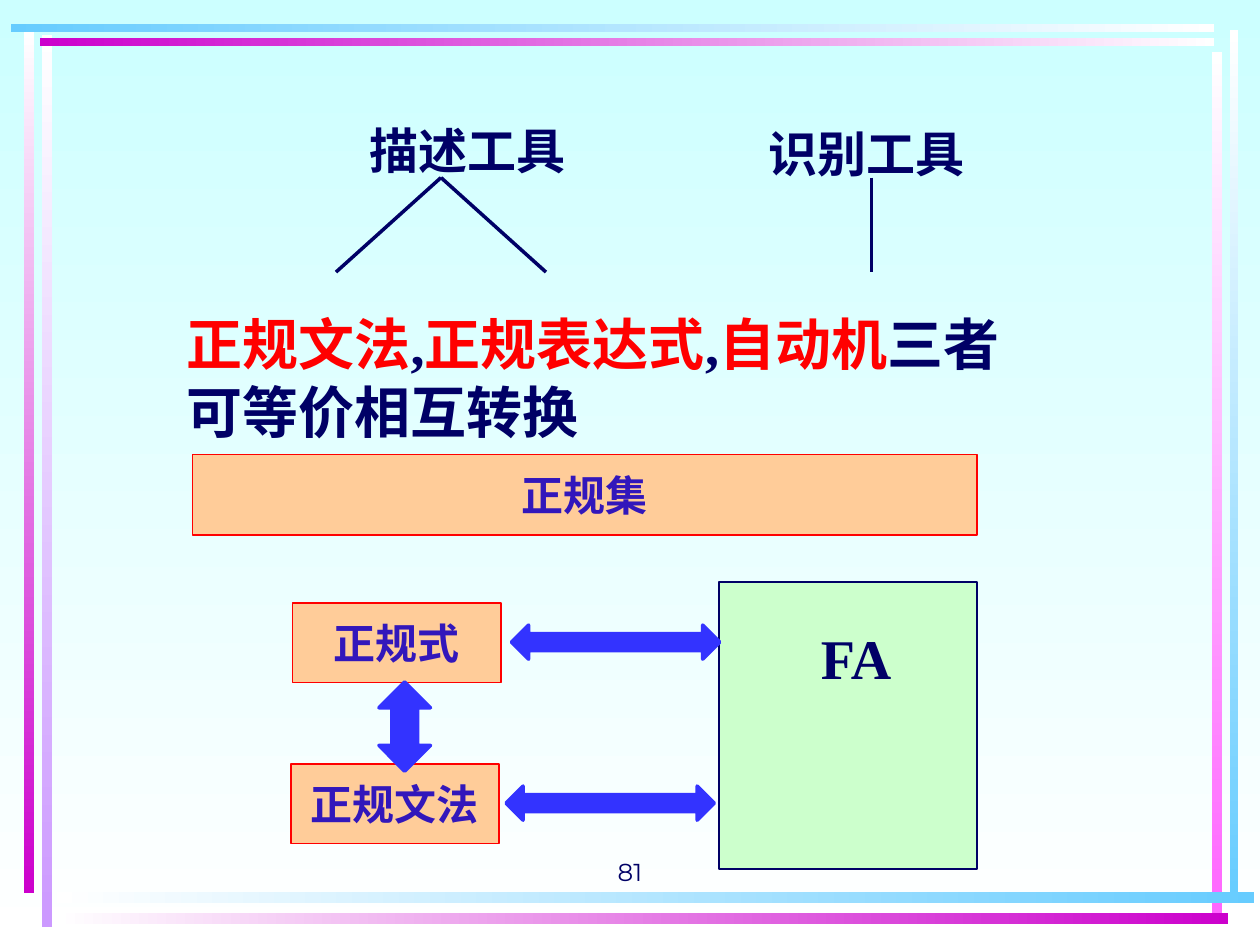
from dataclasses import dataclass

from lxml import etree
from pptx import Presentation
from pptx.dml.color import RGBColor
from pptx.enum.lang import MSO_LANGUAGE_ID
from pptx.enum.shapes import MSO_CONNECTOR, MSO_SHAPE
from pptx.enum.text import MSO_ANCHOR, PP_ALIGN
from pptx.oxml.ns import qn
from pptx.util import Pt

RECT = MSO_SHAPE.RECTANGLE
ACROSS = MSO_SHAPE.LEFT_RIGHT_ARROW
UPRIGHT = MSO_SHAPE.UP_DOWN_ARROW
STRAIGHT = MSO_CONNECTOR.STRAIGHT
LEFT, CENTER = PP_ALIGN.LEFT, PP_ALIGN.CENTER
TOP, MIDDLE, BOTTOM = MSO_ANCHOR.TOP, MSO_ANCHOR.MIDDLE, MSO_ANCHOR.BOTTOM
CHINESE = MSO_LANGUAGE_ID.SIMPLIFIED_CHINESE
RIGHTWARD, DOWNWARD = 0, 270


@dataclass(frozen=True)
class Theme:
    """Colours, fonts and type sizes of the slide."""
    navy: str = "000066"
    red: str = "FF0000"
    label: str = "3217BB"
    peach: str = "FFCC99"
    mint: str = "CCFFCC"
    arrow: str = "3333FF"
    white: str = "FFFFFF"
    pale: str = "CCFFFF"
    sky: str = "66CCFF"
    magenta: str = "CC00CC"
    pink: str = "FF66FF"
    lilac: str = "CC99FF"
    serif: str = "Times New Roman"
    cjk: str = "Noto Sans CJK SC"
    sans: str = "Montserrat"
    statement: int = 32
    heading: int = 28
    box: int = 24
    number: int = 14


def write(frame, pieces, font, size, bold=True, align=LEFT, anchor=TOP,
          inset=(7.2, 3.6), wrap=True):
    """Fill a text frame with one paragraph of (text, colour) pieces."""
    frame.word_wrap = wrap
    frame.vertical_anchor = anchor
    frame.margin_left = frame.margin_right = Pt(inset[0])
    frame.margin_top = frame.margin_bottom = Pt(inset[1])
    paragraph = frame.paragraphs[0]
    paragraph.alignment = align
    for text, color in pieces:
        run = paragraph.add_run()
        run.text = text
        run.font.name = font
        run.font.size = Pt(size)
        run.font.bold = bold
        run.font.color.rgb = RGBColor.from_string(color)
        run.font.language_id = CHINESE


def blend(fill, start, end, angle):
    """Apply a two-colour linear gradient to a fill."""
    fill.gradient()
    fill.gradient_angle = angle
    for stop, color, position in zip(fill.gradient_stops, (start, end), (0, 1)):
        stop.color.rgb = RGBColor.from_string(color)
        stop.position = position


class Canvas:
    """Draws themed elements on one slide."""

    def __init__(self, slide, theme):
        self.slide = slide
        self.theme = theme

    def shape(self, kind, place, fill, line, width):
        shape = self.slide.shapes.add_shape(kind, *map(Pt, place))
        shape.shadow.inherit = False
        shape.fill.solid()
        shape.fill.fore_color.rgb = RGBColor.from_string(fill)
        shape.line.color.rgb = RGBColor.from_string(line)
        shape.line.width = Pt(width)
        return shape

    def bar(self, place, start, end, angle):
        bar = self.slide.shapes.add_shape(RECT, *map(Pt, place))
        bar.shadow.inherit = False
        bar.line.fill.background()
        blend(bar.fill, start, end, angle)

    def box(self, place, label):
        t = self.theme
        box = self.shape(RECT, place, t.peach, t.red, 1)
        write(box.text_frame, [(label, t.label)], t.cjk, t.box, align=CENTER,
              anchor=MIDDLE, inset=(0, 0), wrap=False)

    def arrow(self, kind, place):
        arrow = self.shape(kind, place, self.theme.arrow, self.theme.arrow, 2)
        arrow.adjustments[0] = arrow.adjustments[1] = 0.5

    def text(self, place, pieces, font, size, **style):
        frame = self.slide.shapes.add_textbox(*map(Pt, place)).text_frame
        write(frame, pieces, font, size, **style)

    def line(self, *ends):
        line = self.slide.shapes.add_connector(STRAIGHT, *map(Pt, ends))
        line.line.color.rgb = RGBColor.from_string(self.theme.navy)
        line.line.width = Pt(2)
        etree.SubElement(line._element.spPr, qn("a:effectLst"))


def main():
    """Build the slide and save it."""
    deck = Presentation()
    deck.slide_width, deck.slide_height = Pt(720), Pt(540)
    t = Theme()
    canvas = Canvas(deck.slides.add_slide(deck.slide_layouts[6]), t)
    blend(canvas.slide.background.fill, t.pale, t.white, DOWNWARD)

    for place, start, end, angle in (
        ((24, 20, 6, 510), t.white, t.lilac, DOWNWARD),
        ((13.7, 18, 6, 492.5), t.white, t.magenta, DOWNWARD),
        ((702.7, 17.3, 5, 499), t.white, t.sky, DOWNWARD),
        ((692.6, 30, 6, 492), t.white, t.pink, DOWNWARD),
        ((32.4, 509.8, 684, 6), t.white, t.sky, RIGHTWARD),
        ((32.4, 521.8, 669.6, 6), t.white, t.magenta, RIGHTWARD),
        ((23, 22, 671, 4.3), t.magenta, t.white, RIGHTWARD),
        ((6, 13.5, 688, 5), t.sky, t.white, RIGHTWARD),
    ):
        canvas.bar(place, start, end, angle)

    canvas.text((246, 474, 228, 36), [("81", t.navy)], t.sans, t.number,
                bold=False, align=CENTER, anchor=BOTTOM)

    canvas.shape(RECT, (411, 332.8, 147.5, 164), t.mint, t.navy, 1)
    canvas.text((462, 353, 57, 84), [("FA", t.navy)], t.serif, t.statement)

    canvas.box((110, 259.7, 448.5, 46), "正规集")
    canvas.box((167.2, 344.5, 119, 45.5), "正规式")
    canvas.box((166.2, 436.5, 119, 45.5), "正规文法")

    canvas.text((99.5, 173.5, 498, 84), [
        ("正规文法", t.red), (",", t.navy), ("正规表达式", t.red),
        (",", t.navy), ("自动机", t.red), ("三者可等价相互转换", t.navy),
    ], t.serif, t.statement)

    for place, heading in (((204, 65.5, 138, 41), "描述工具"),
                           ((432, 67, 138, 41), "识别工具")):
        canvas.text(place, [(heading, t.navy)], t.serif, t.heading)
    for start, end in ((252, 192), (252, 312), (498, 498)):
        canvas.line(start, 101.5, end, 155.5)

    canvas.arrow(UPRIGHT, (216.5, 389.7, 29.5, 51))
    for left, top in ((292.3, 357.2), (289.2, 449.2)):
        canvas.arrow(ACROSS, (left, top, 119, 19.5))

    deck.save("out.pptx")


if __name__ == "__main__":
    main()
